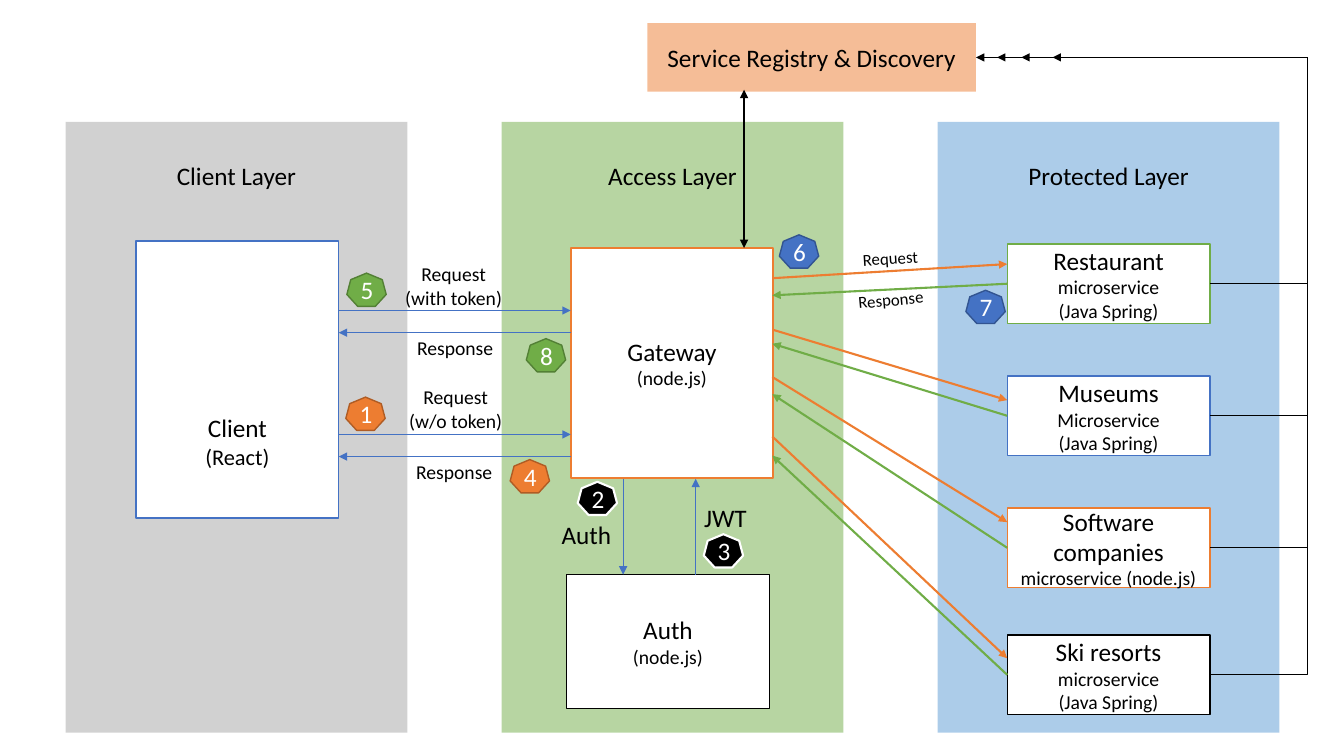
from lxml.etree import SubElement
from pptx import Presentation
from pptx.dml.color import RGBColor
from pptx.enum.shapes import MSO_CONNECTOR, MSO_SHAPE
from pptx.enum.text import MSO_ANCHOR, MSO_AUTO_SIZE, PP_ALIGN
from pptx.oxml.ns import qn
from pptx.util import Inches, Pt

BLACK = RGBColor(0x00, 0x00, 0x00)
WHITE = RGBColor(0xFF, 0xFF, 0xFF)
GRAY = RGBColor(0xA5, 0xA5, 0xA5)
GREEN = RGBColor(0x70, 0xAD, 0x47)
DARK_GREEN = RGBColor(0x53, 0x80, 0x35)
SKY = RGBColor(0x5B, 0x9B, 0xD5)
BLUE = RGBColor(0x44, 0x72, 0xC4)
DARK_BLUE = RGBColor(0x32, 0x54, 0x91)
ORANGE = RGBColor(0xED, 0x7D, 0x31)
DARK_ORANGE = RGBColor(0xAF, 0x5C, 0x24)

prs = Presentation()
prs.slide_width, prs.slide_height = Inches(13.33), Inches(7.5)
s = prs.slides.add_slide(prs.slide_layouts[6])


def add_box(text, x, y, w, h, kind=MSO_SHAPE.RECTANGLE, fill=None, alpha=None,
            line=None, weight=1, sizes=(18, 14), color=BLACK, rotation=0):
    """Add a shape, or a plain text box if kind is None; one paragraph per line."""
    at = [Inches(v) for v in (x, y, w, h)]
    if kind is None:
        sp = s.shapes.add_textbox(*at)
    else:
        sp = s.shapes.add_shape(kind, *at)
        sp.shadow.inherit = False
        sp.fill.solid()
        sp.fill.fore_color.rgb = fill
        if alpha:
            clr = sp.fill._xPr.find(qn("a:solidFill"))[0]
            SubElement(clr, qn("a:alpha"), val=str(alpha * 1000))
        if line is None:
            sp.line.fill.background()
        else:
            sp.line.color.rgb = line
            sp.line.width = Pt(weight)
    sp.rotation = rotation
    tf = sp.text_frame
    tf.word_wrap = True
    if kind is None:
        tf.auto_size = MSO_AUTO_SIZE.SHAPE_TO_FIT_TEXT
    else:
        tf.vertical_anchor = MSO_ANCHOR.MIDDLE
    for i, words in enumerate(text.split("\n") if text else []):
        p = tf.paragraphs[0] if i == 0 else tf.add_paragraph()
        p.alignment = PP_ALIGN.CENTER
        r = p.add_run()
        r.text = words
        r.font.name = "Calibri"
        r.font.size = Pt(sizes[min(i, len(sizes) - 1)])
        r.font.color.rgb = color
    return sp


def add_arrow(x1, y1, x2, y2, color, weight, kind=MSO_CONNECTOR.STRAIGHT, both=False):
    c = s.shapes.add_connector(kind, *[Inches(v) for v in (x1, y1, x2, y2)])
    c.line.color.rgb = color
    c.line.width = Pt(weight)
    ln = c.line._get_or_add_ln()
    if both:
        SubElement(ln, qn("a:headEnd"), type="triangle")
    SubElement(ln, qn("a:tailEnd"), type="triangle")
    SubElement(c._element.spPr, qn("a:effectLst"))
    return c


# Layers
for i, (name, fill) in enumerate([("Client Layer", GRAY), ("Access Layer", GREEN),
                                  ("Protected Layer", SKY)]):
    x = 0.65 + 4.325 * i
    add_box("", x, 1.21, 3.39, 6.06, fill=fill, alpha=50)
    add_box(name, x + 0.39, 1.54, 2.61, 0.4, kind=None)

# Client, gateway, authentication and registry
client = add_box("Client\n(React)", 1.35, 2.39, 2.01, 2.75, fill=WHITE, line=BLUE,
                 sizes=(18, 16))
client.text_frame.margin_top = Inches(1.27)
add_box("Auth\n(node.js)", 5.62, 5.7, 2.01, 1.33, fill=WHITE, line=BLACK)
add_box("Gateway\n(node.js)", 5.66, 2.46, 2.01, 2.28, fill=WHITE, line=ORANGE, weight=1.5)
add_box("Service Registry & Discovery", 6.42, 0.23, 3.26, 0.68, fill=ORANGE, alpha=50)
add_arrow(7.38, 2.46, 7.38, 0.89, BLACK, 1.5, both=True)

# Microservices: box, request and response, route to the registry
services = [
    # text, top, outline, request start and end, response end, registry x, route width
    ("Restaurant\nmicroservice\n(Java Spring)", 2.42, GREEN, 2.76, 2.62, 2.93, 10.44, 1),
    ("Museums\nMicroservice\n(Java Spring)", 3.73, BLUE, 3.27, 3.97, 3.41, 10.13, 1),
    ("Software companies\nmicroservice (node.js)", 5.04, ORANGE, 3.74, 5.18, 3.91, 9.89, 0.5),
    ("Ski resorts\nmicroservice\n(Java Spring)", 6.3, BLACK, 4.33, 6.53, 4.52, 9.68, 1),
]
for text, top, outline, start, end, back, registry_x, weight in services:
    box = add_box(text, 9.99, top, 2.01, 0.79, fill=WHITE, line=outline)
    middle = top + 0.395
    add_arrow(7.66, start, 9.99, end, ORANGE, 1.5)
    response = add_arrow(9.99, middle, 7.66, back, GREEN, 1.5)
    response.begin_connect(box, 1)
    route = add_arrow(12, middle, registry_x, 0.57, BLACK, weight, MSO_CONNECTOR.ELBOW)
    bend = round(-0.97 / (12 - registry_x) * 100000)
    guides = route._element.spPr.find(qn("a:prstGeom")).get_or_add_avLst()
    SubElement(guides, qn("a:gd"), name="adj1", fmla=f"val {bend}")

# Client to gateway, gateway to authentication
for y in (3.08, 4.31):
    add_arrow(3.36, y, 5.66, y, BLUE, 0.5)
    add_arrow(5.66, y + 0.22, 3.36, y + 0.22, BLUE, 0.5)
add_arrow(6.18, 4.75, 6.18, 5.7, BLUE, 0.5)
add_arrow(6.9, 5.7, 6.9, 4.75, BLUE, 0.5)

# Arrow labels
for text, x, y, w, h, size, rotation in [
    ("Request\n(with token)", 3.8, 2.55, 1.4, 0.57, 14, 0),
    ("Response", 3.93, 3.28, 1.17, 0.34, 14, 0),
    ("Request\n(w/o token)", 3.88, 3.77, 1.28, 0.57, 14, 0),
    ("Response", 3.92, 4.51, 1.17, 0.34, 14, 0),
    ("Auth", 5.04, 5.1, 1.55, 0.4, 18, 0),
    ("JWT", 6.42, 4.93, 1.55, 0.4, 18, 0),
    ("Request", 8.36, 2.41, 0.94, 0.3, 12, 356.4),
    ("Response", 8.37, 2.82, 0.93, 0.3, 12, 354.7),
]:
    add_box(text, x, y, w, h, kind=None, sizes=(size,), rotation=rotation)

# Step badges
for number, x, y, fill, line, weight in [
    (1, 3.43, 3.94, ORANGE, DARK_ORANGE, 1),
    (2, 5.73, 4.78, BLACK, WHITE, 1.5),
    (3, 6.98, 5.3, BLACK, WHITE, 1.5),
    (4, 5.06, 4.56, ORANGE, DARK_ORANGE, 1),
    (5, 3.44, 2.71, GREEN, DARK_GREEN, 1),
    (6, 7.73, 2.33, BLUE, DARK_BLUE, 1),
    (7, 9.58, 2.88, BLUE, DARK_BLUE, 1),
    (8, 5.22, 3.36, GREEN, DARK_GREEN, 1),
]:
    add_box(str(number), x, y, 0.39, 0.33, kind=MSO_SHAPE.HEPTAGON, fill=fill,
            line=line, weight=weight, color=WHITE)

prs.save("out.pptx")
